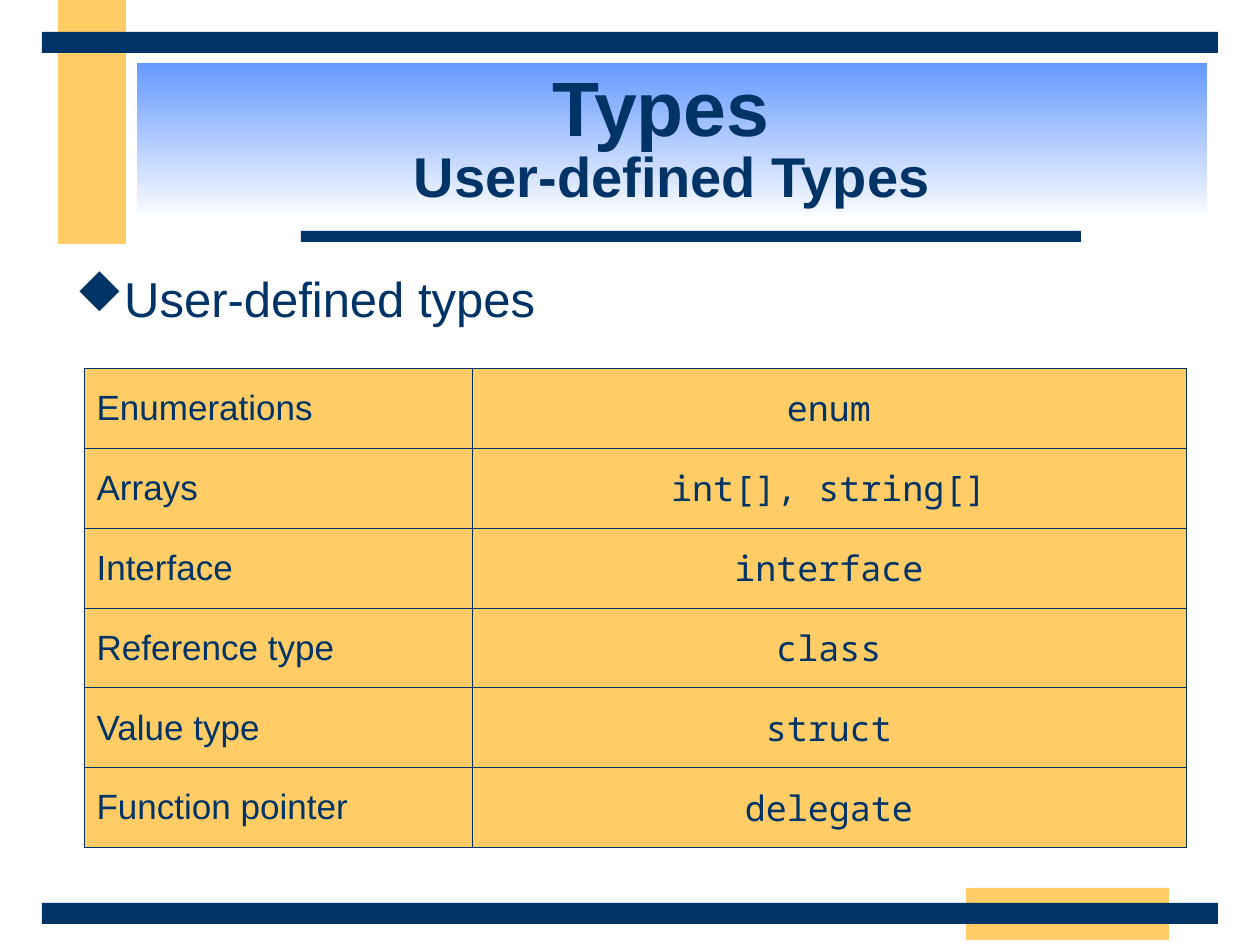
from lxml import etree
from pptx import Presentation
from pptx import util as u
from pptx.dml.color import RGBColor
from pptx.enum import shapes, text
from pptx.oxml.ns import qn

PX = u.Inches(1) // 126
NAVY = RGBColor(0x00, 0x33, 0x66)
AMBER = RGBColor(0xFF, 0xCC, 0x66)
BLUE = RGBColor(0x66, 0x99, 0xFF)
WHITE = RGBColor(0xFF, 0xFF, 0xFF)
SANS, MONO, SYMBOLS = "Arial", "Noto Sans Mono", "Wingdings"
LEFT, CENTER = text.PP_ALIGN.LEFT, text.PP_ALIGN.CENTER


def write(paragraph, words, size=20, font=SANS, bold=False, align=LEFT, before=0):
    paragraph.alignment = align
    paragraph.space_before = u.Pt(before)
    run = paragraph.add_run()
    run.text = words
    run.font.size = u.Pt(size)
    run.font.name = font
    run.font.bold = bold
    run.font.color.rgb = NAVY


class Deck:
    def __init__(self, width, height):
        self.prs = Presentation()
        self.prs.slide_width, self.prs.slide_height = width * PX, height * PX
        self.slide = self.prs.slides.add_slide(self.prs.slide_layouts[6])

    def bar(self, x, y, width, height, color):
        bar = self.slide.shapes.add_shape(
            shapes.MSO_SHAPE.RECTANGLE, x * PX, y * PX, width * PX, height * PX)
        bar.shadow.inherit = False
        bar.line.fill.background()
        bar.fill.solid()
        bar.fill.fore_color.rgb = color
        return bar

    def title(self, x, y, width, height, heading, subheading):
        banner = self.bar(x, y, width, height, BLUE)
        banner.fill.gradient()
        banner.fill.gradient_angle = 270
        for stop, color, position in zip(banner.fill.gradient_stops, (BLUE, WHITE), (0, 1)):
            stop.color.rgb = color
            stop.position = position
        banner.text_frame.vertical_anchor = text.MSO_ANCHOR.MIDDLE
        lines = banner.text_frame.paragraphs[0]
        lines.line_spacing = 0.85
        write(lines, heading, size=44, bold=True, align=CENTER)
        lines.add_line_break()
        write(lines, subheading, size=32, bold=True, align=CENTER)

    def bullet(self, x, y, width, height, words):
        body = self.slide.shapes.add_textbox(x * PX, y * PX, width * PX, height * PX)
        body.text_frame.word_wrap = True
        item = body.text_frame.paragraphs[0]
        write(item, words, size=28, before=7)
        props = item._p.get_or_add_pPr()
        props.set("marL", str(48 * PX))
        props.set("indent", str(-48 * PX))
        color = etree.SubElement(props, qn("a:buClr"))
        etree.SubElement(color, qn("a:srgbClr"), val=str(NAVY))
        # The symbol font draws "u" as a black diamond
        etree.SubElement(props, qn("a:buFont"), typeface=SYMBOLS, pitchFamily="2", charset="2")
        etree.SubElement(props, qn("a:buChar"), char="u")

    def table(self, x, y, widths, row_height, rows):
        table = self.slide.shapes.add_table(
            len(rows), len(widths), x * PX, y * PX,
            sum(widths) * PX, row_height * len(rows) * PX).table
        table.first_row = table.horz_banding = False
        for column, width in zip(table.columns, widths):
            column.width = width * PX
        for r, (kind, keyword) in enumerate(rows):
            table.rows[r].height = row_height * PX
            write(self.cell(table, r, 0), kind, before=5)
            write(self.cell(table, r, 1), keyword, font=MONO, align=CENTER, before=5)

    def cell(self, table, row, column):
        cell = table.cell(row, column)
        cell.vertical_anchor = text.MSO_ANCHOR.MIDDLE
        # Borders come before the fill in the cell properties
        props = cell._tc.get_or_add_tcPr()
        for side in ("a:lnL", "a:lnR", "a:lnT", "a:lnB"):
            border = etree.SubElement(props, qn(side), w=str(u.Pt(0.45)))
            fill = etree.SubElement(border, qn("a:solidFill"))
            etree.SubElement(fill, qn("a:srgbClr"), val=str(NAVY))
        cell.fill.solid()
        cell.fill.fore_color.rgb = AMBER
        return cell.text_frame.paragraphs[0]


def main():
    deck = Deck(1260, 945)

    # Frame
    deck.bar(58, 0, 68, 244, AMBER)
    deck.bar(966, 888, 203, 52, AMBER)
    deck.bar(301, 231, 780, 11, NAVY)
    for y in (903, 32):
        deck.bar(42, y, 1176, 21, NAVY)

    # Heading and bullet
    deck.title(137, 63, 1070, 157, "Types ", "User-defined Types")
    deck.bullet(63, 262, 1134, 620, "User-defined types")

    # Kinds of type and their keywords
    deck.table(84, 368, (388, 714), 80, [
        ("Enumerations", "enum"),
        ("Arrays", "int[], string[]"),
        ("Interface", "interface"),
        ("Reference type", "class"),
        ("Value type", "struct"),
        ("Function pointer", "delegate"),
    ])

    deck.prs.save("out.pptx")


if __name__ == "__main__":
    main()
